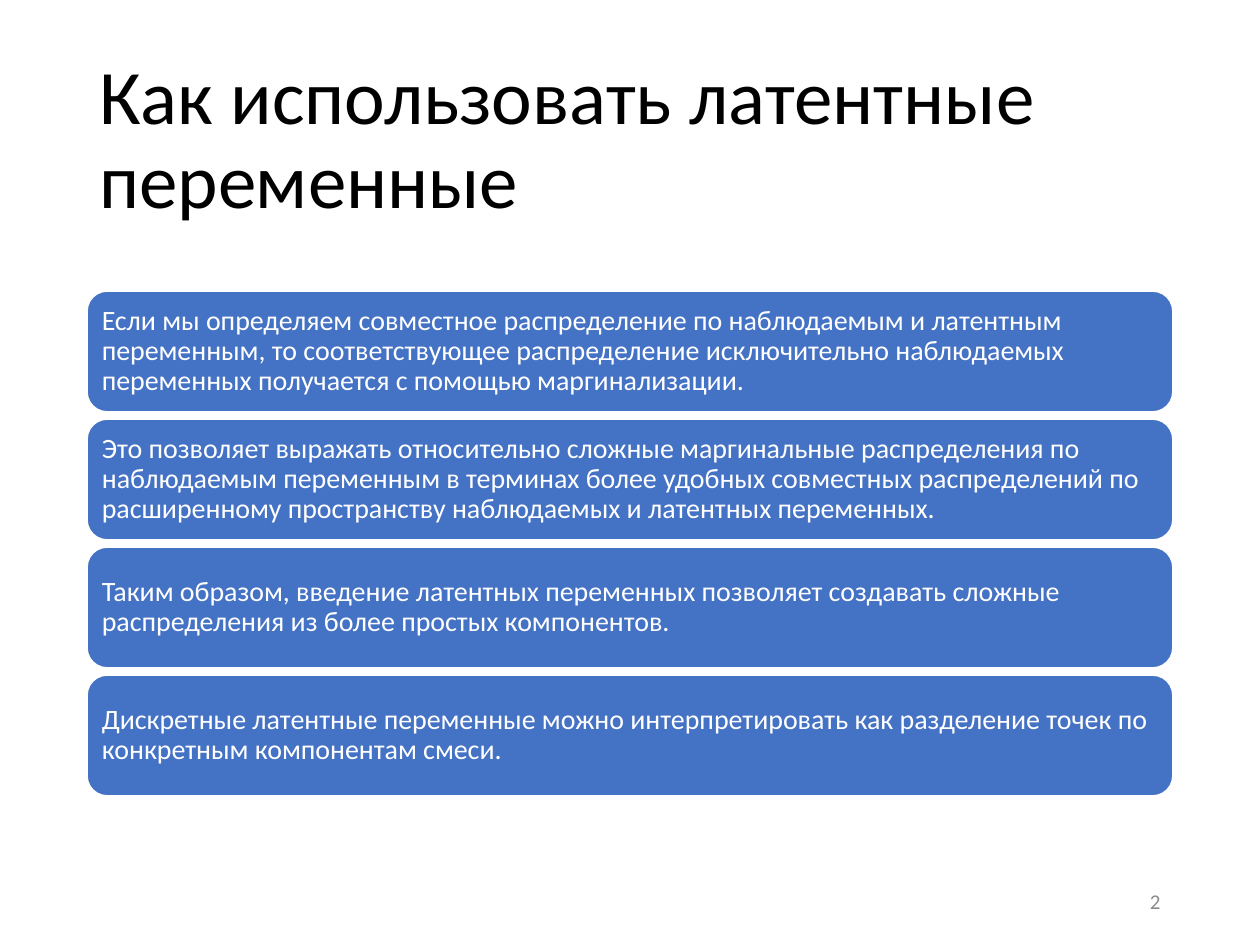
from pptx import Presentation
from pptx.dml.color import RGBColor
from pptx.enum.shapes import MSO_SHAPE as Shape
from pptx.enum.text import MSO_ANCHOR as Anchor, PP_ALIGN as Align
from pptx.util import Emu, Pt

# Content
TITLE = "Как использовать латентные переменные"
STATEMENTS = [
    "Если мы определяем совместное распределение по наблюдаемым и латентным переменным, "
    "то соответствующее распределение исключительно наблюдаемых переменных получается "
    "с помощью маргинализации.",
    "Это позволяет выражать относительно сложные маргинальные распределения по наблюдаемым "
    "переменным в терминах более удобных совместных распределений по расширенному "
    "пространству наблюдаемых и латентных переменных.",
    "Таким образом, введение латентных переменных позволяет создавать сложные "
    "распределения из более простых компонентов.",
    "Дискретные латентные переменные можно интерпретировать как разделение точек "
    "по конкретным компонентам смеси.",
]
PAGE_NUMBER = "2"

# Layout in px, 126 to the inch
LEFT, WIDTH = 87, 1086
CARD_TOP, CARD_HEIGHT, CARD_GAP = 291, 121, 7
NUMBER_WIDTH = 283


def px(value):
    return Emu(round(value * 914400 / 126))


def color(code):
    return RGBColor.from_string(code)


def write(shape, text, size, ink, align=Align.LEFT, spacing=0.9, inset=None):
    frame = shape.text_frame
    frame.word_wrap = True
    frame.vertical_anchor = Anchor.MIDDLE
    if inset is not None:
        frame.margin_left = frame.margin_right = px(inset)
        frame.margin_top = frame.margin_bottom = px(inset)
    paragraph = frame.paragraphs[0]
    paragraph.alignment = align
    paragraph.line_spacing = spacing
    run = paragraph.add_run()
    run.text = text
    run.font.name = "Calibri"
    run.font.size = Pt(size)
    run.font.color.rgb = color(ink)


presentation = Presentation()
presentation.slide_width, presentation.slide_height = px(1260), px(945)
slide = presentation.slides.add_slide(presentation.slide_layouts[6])
shapes = slide.shapes

# Title
title = shapes.add_textbox(px(LEFT), px(50), px(WIDTH), px(183))
write(title, TITLE, size=44, ink="000000")

# Stack of statement cards
for index, statement in enumerate(STATEMENTS):
    top = CARD_TOP + index * (CARD_HEIGHT + CARD_GAP)
    card = shapes.add_shape(Shape.ROUNDED_RECTANGLE,
                            px(LEFT), px(top), px(WIDTH), px(CARD_HEIGHT))
    card.shadow.inherit = False
    card.fill.solid()
    card.fill.fore_color.rgb = color("4472C4")
    card.line.color.rgb = color("FFFFFF")
    card.line.width = Pt(1)
    write(card, statement, size=16, ink="FFFFFF", inset=9)

# Page number
number = shapes.add_textbox(px(LEFT + WIDTH - NUMBER_WIDTH), px(876),
                            px(NUMBER_WIDTH), px(50))
write(number, PAGE_NUMBER, size=12, ink="8C8C8C", align=Align.RIGHT, spacing=1.0)

presentation.save("out.pptx")
